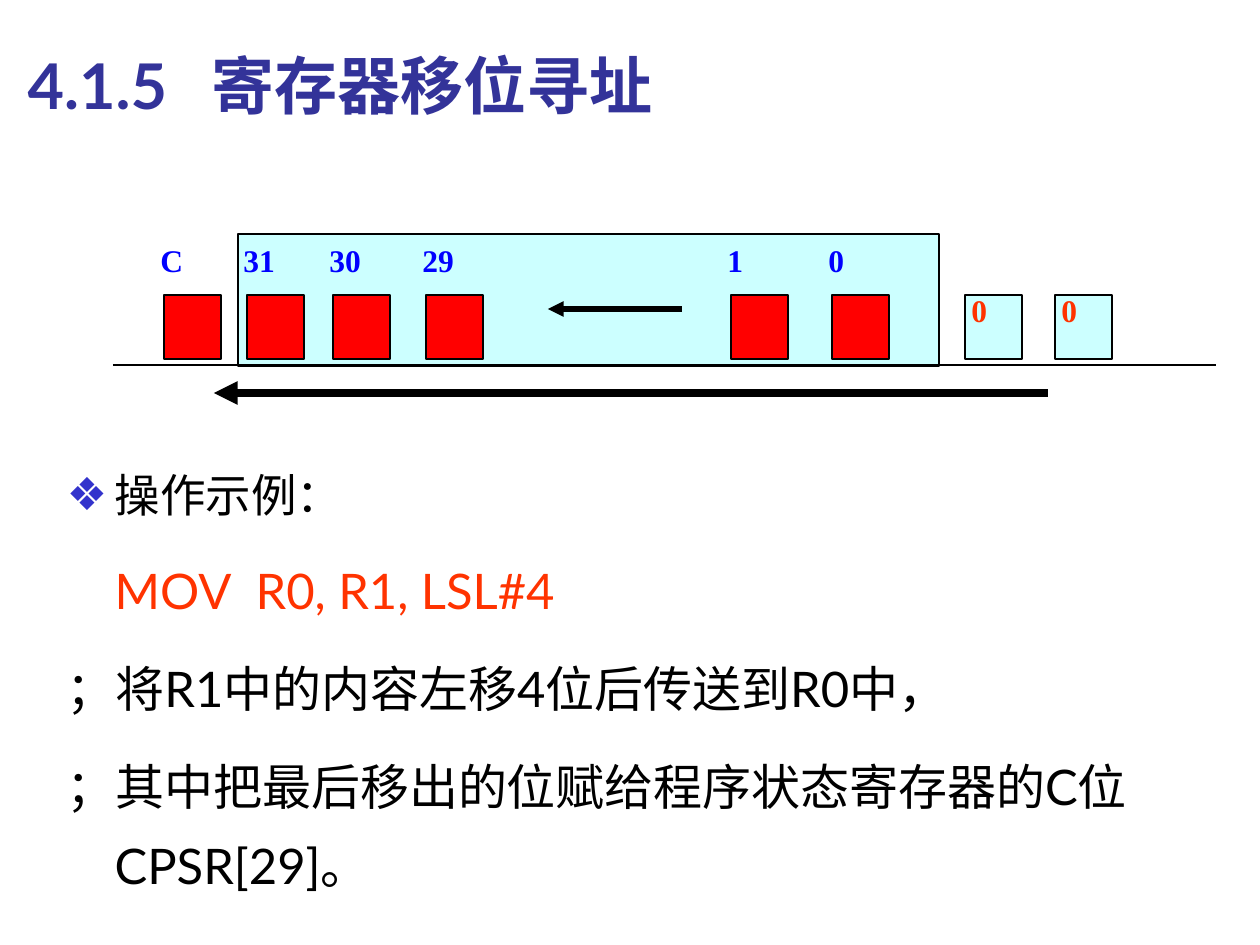
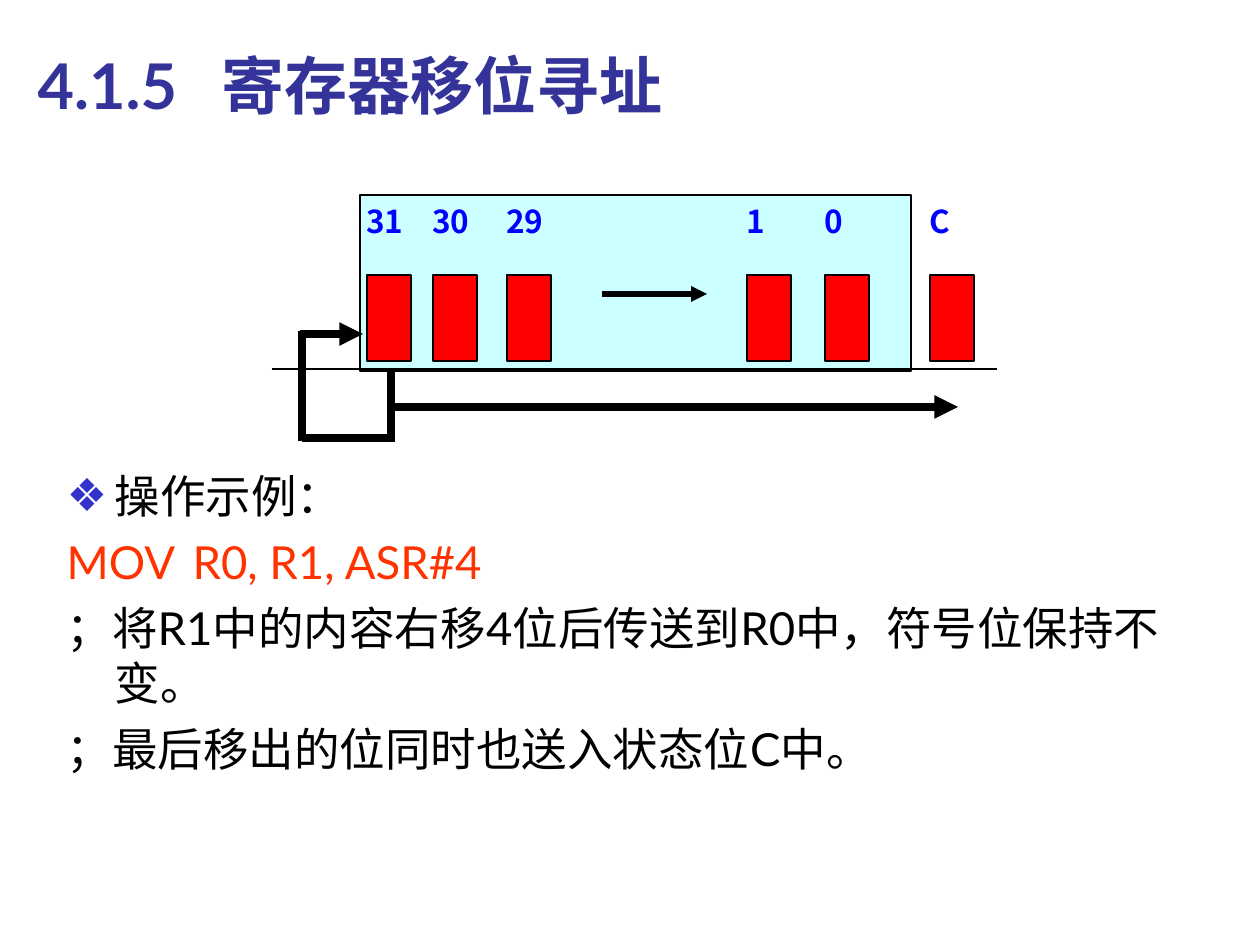
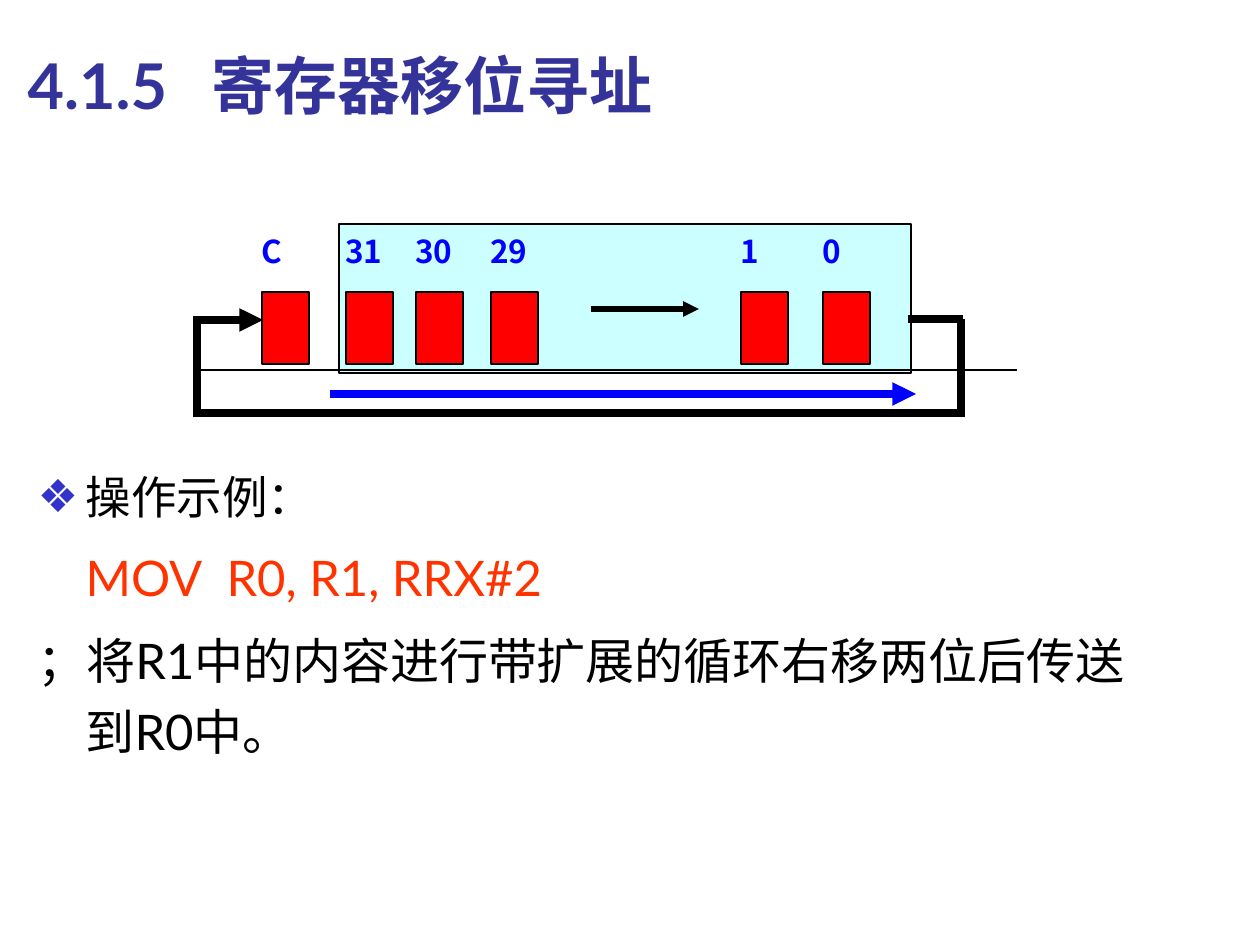
from lxml import etree
from pptx import Presentation
from pptx.dml.color import RGBColor
from pptx.enum.shapes import MSO_CONNECTOR, MSO_SHAPE
from pptx.enum.text import MSO_ANCHOR, MSO_AUTO_SIZE, PP_ALIGN
from pptx.oxml.ns import qn
from pptx.util import Pt

RECT = MSO_SHAPE.RECTANGLE
STRAIGHT = MSO_CONNECTOR.STRAIGHT
LEFT = PP_ALIGN.LEFT
TOP, MIDDLE = MSO_ANCHOR.TOP, MSO_ANCHOR.MIDDLE
NO_FIT = MSO_AUTO_SIZE.NONE

BLACK = RGBColor(0x00, 0x00, 0x00)
NAVY = RGBColor(0x33, 0x33, 0x99)
BLUE = RGBColor(0x00, 0x00, 0xFF)
RED = RGBColor(0xFF, 0x00, 0x00)
ORANGE = RGBColor(0xFF, 0x33, 0x00)
AQUA = RGBColor(0xCC, 0xFF, 0xFF)
BULLET = "3333CC"

SCALE = 914400 / 126
FONT, SERIF, SANS = "Lato", "Times New Roman", "Noto Sans CJK SC"
HANG = 48
THIN, MID, THICK = 0.75, 3, 4.5

TITLE = "4.1.5\t寄存器移位寻址"
HEAD = "操作示例："

# cells: label -> left edge; label: offset from the cell, then size
# lines: x1, y1, x2, y2, width, arrow, colour
SLIDES = [
    dict(
        title_x=15, body=(54, 442, 1134, 459), spacing=1.35, after=0.125,
        size=28, code="MOV\tR0, R1, LSL#4", indent=HANG,
        notes=["；将R1中的内容左移4位后传送到R0中，",
               "；其中把最后移出的位赋给程序状态寄存器的C位CPSR[29]。"],
        register=(238, 234, 701, 132), font=SERIF,
        cell=(295, 57, 64), label=(-16, -60, 100, 84),
        cells={"C": 164, "31": 247, "30": 333, "29": 426, "1": 731, "0": 832},
        zeros=[965, 1055],
        lines=[(113, 365, 1216, 365, THIN, False, BLACK),
               (682, 309, 548, 309, MID, True, BLACK),
               (1048, 393, 214, 393, THICK, True, BLACK)]),
    dict(
        title_x=25, body=(54, 462, 1134, 440), spacing=1.0, after=0,
        size=26, code="MOV\tR0, R1, ASR#4", indent=0,
        notes=["；将R1中的内容右移4位后传送到R0中，符号位保持不变。",
               "；最后移出的位同时也送入状态位C中。"],
        register=(360, 195, 551, 176), font=SANS,
        cell=(275, 44, 86), label=(-13, -79, 78, 112),
        cells={"31": 367, "30": 433, "29": 507, "1": 747, "0": 825, "C": 930},
        zeros=[],
        lines=[(272, 369, 997, 369, THIN, False, BLACK),
               (602, 294, 707, 294, MID, True, BLACK),
               (393, 407, 958, 407, THICK, True, BLACK),
               (391, 368, 391, 442, THICK, False, BLACK),
               (391, 438, 302, 438, THICK, False, BLACK),
               (302, 441, 302, 331, THICK, False, BLACK),
               (300, 334, 363, 334, THICK, True, BLACK)]),
    dict(
        title_x=15, body=(25, 452, 1134, 426), spacing=1.2, after=0,
        size=28, code="MOV\tR0, R1, RRX#2", indent=HANG,
        notes=["；将R1中的内容进行带扩展的循环右移两位后传送到R0中。"],
        register=(339, 224, 572, 149), font=SANS,
        cell=(292, 47, 72), label=(-13, -66, 82, 94),
        cells={"C": 262, "31": 346, "30": 416, "29": 491, "1": 741, "0": 823},
        zeros=[],
        lines=[(193, 370, 1017, 370, THIN, False, BLACK),
               (591, 309, 699, 309, MID, True, BLACK),
               (330, 394, 916, 394, THICK, True, BLUE),
               (965, 413, 193, 413, THICK, False, BLACK),
               (197, 412, 197, 320, THICK, False, BLACK),
               (193, 320, 263, 320, THICK, True, BLACK),
               (961, 413, 961, 319, THICK, False, BLACK),
               (908, 319, 963, 319, THICK, False, BLACK)]),
]


def px(n):
    return round(n * SCALE)


def place(shape, box):
    shape.left, shape.top, shape.width, shape.height = map(px, box)


def style(para, size, color, bold=False, font=FONT):
    face = para.font
    face.name, face.size, face.bold = font, Pt(size), bold
    face.color.rgb = color
    east = etree.SubElement(para._p.pPr.find(qn("a:defRPr")), qn("a:ea"))
    east.set("typeface", font)


def add_tab(para, pos):
    tabs = etree.SubElement(para._p.get_or_add_pPr(), qn("a:tabLst"))
    etree.SubElement(tabs, qn("a:tab"), pos=str(px(pos)), algn="l")


def set_indent(para, margin, first, bullet=None):
    props = para._p.get_or_add_pPr()
    props.set("marL", str(px(margin)))
    props.set("indent", str(px(first)))
    if bullet:
        color = etree.SubElement(props, qn("a:buClr"))
        etree.SubElement(color, qn("a:srgbClr"), val=BULLET)
        etree.SubElement(props, qn("a:buChar"), char=bullet)
    else:
        etree.SubElement(props, qn("a:buNone"))


def fill_title(slide, left):
    title = slide.shapes.title
    place(title, (left, 26, 987, 116))
    frame = title.text_frame
    frame.text = TITLE
    frame.auto_size, frame.vertical_anchor = NO_FIT, MIDDLE
    para = frame.paragraphs[0]
    add_tab(para, 184)
    para.alignment = LEFT
    style(para, 36, NAVY, True)


def fill_body(slide, data):
    body = slide.placeholders[1]
    place(body, data["body"])
    frame = body.text_frame
    frame.text = "\n".join([HEAD, data["code"], *data["notes"]])
    frame.auto_size, frame.vertical_anchor = NO_FIT, TOP
    for i, para in enumerate(frame.paragraphs):
        size = 26 if i == 0 else data["size"]
        if i == 1:
            set_indent(para, 0, data["indent"])
            add_tab(para, data["indent"] + 5.8 * size)
        else:
            set_indent(para, HANG, -HANG, "❖" if i == 0 else None)
        para.alignment = LEFT
        para.line_spacing = data["spacing"]
        para.space_before = Pt(size / 4 if i else 0)
        para.space_after = Pt(size * data["after"])
        style(para, size, ORANGE if i == 1 else BLACK)


def add_box(slide, box, color):
    shape = slide.shapes.add_shape(RECT, *map(px, box))
    shape.shadow.inherit = False
    shape.fill.solid()
    shape.fill.fore_color.rgb = color
    shape.line.color.rgb = BLACK
    shape.line.width = Pt(THIN)


def add_label(slide, box, text, color, font):
    frame = slide.shapes.add_textbox(*map(px, box)).text_frame
    frame.word_wrap = True
    frame.text = text
    style(frame.paragraphs[0], 18, color, True, font)


def add_cell(slide, data, left, text, fill, color, label):
    top, wide, high = data["cell"]
    dx, dy, w, h = label
    add_box(slide, (left, top, wide, high), fill)
    add_label(slide, (left + dx, top + dy, w, h), text, color, data["font"])


def add_line(slide, x1, y1, x2, y2, width, arrow, color):
    line = slide.shapes.add_connector(STRAIGHT, *map(px, (x1, y1, x2, y2)))
    line.line.color.rgb = color
    line.line.width = Pt(width)
    props = line._element.spPr
    if arrow:
        etree.SubElement(props.find(qn("a:ln")), qn("a:tailEnd"),
                         type="triangle")
    etree.SubElement(props, qn("a:effectLst"))


def draw_register(slide, data):
    add_box(slide, data["register"], AQUA)
    for text, left in data["cells"].items():
        add_cell(slide, data, left, text, RED, BLUE, data["label"])
    for left in data["zeros"]:
        add_cell(slide, data, left, "0", AQUA, ORANGE, (-6, -10, 55, 80))
    for line in data["lines"]:
        add_line(slide, *line)


def main():
    deck = Presentation()
    deck.slide_width, deck.slide_height = px(1260), px(945)
    for data in SLIDES:
        slide = deck.slides.add_slide(deck.slide_layouts[1])
        fill_title(slide, data["title_x"])
        fill_body(slide, data)
        draw_register(slide, data)
    deck.save("out.pptx")


if __name__ == "__main__":
    main()
